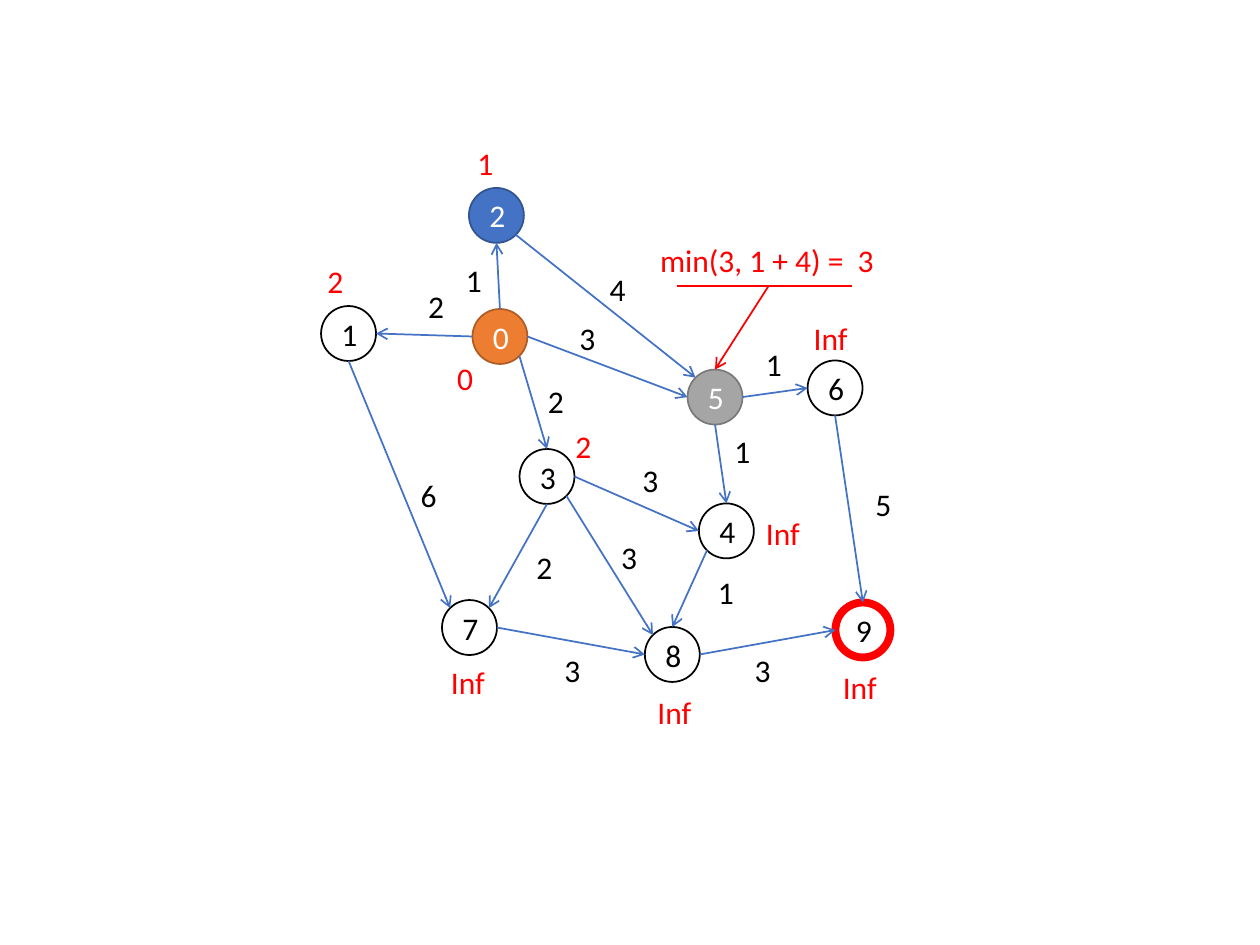
from dataclasses import dataclass
from math import sqrt

from lxml import etree
from pptx import Presentation
from pptx import util as u
from pptx.dml.color import RGBColor
from pptx.enum import shapes, text
from pptx.oxml.ns import qn


@dataclass(frozen=True)
class Theme:
    font: str = "Calibri"
    size: float = 18
    ink: str = "000000"
    paper: str = "FFFFFF"
    edge: str = "4472C4"
    alert: str = "FF0000"
    line: float = 1
    goal_line: float = 4.5


THEME = Theme()
DIAMETER = 31.4
LABEL_HEIGHT = 29.1
LABEL_WIDTHS = {1: 23.8, 3: 34.6}

PLAIN = (THEME.paper, THEME.ink, THEME.ink, THEME.line)
START = ("ED7D31", "AF5C24", THEME.paper, THEME.line)
CURRENT = (THEME.edge, "325491", THEME.paper, THEME.line)
UPDATED = ("A5A5A5", "7A7A7A", THEME.paper, THEME.line)
GOAL = (THEME.paper, THEME.alert, THEME.ink, THEME.goal_line)

# name: (centre, style, distance, distance label left and top)
NODES = {
    "1": ((199.2, 190.6), PLAIN, "2", (180, 146.2)),
    "3": ((312.6, 272.3), PLAIN, "2", (321.8, 240.5)),
    "2": ((283.7, 123.1), CURRENT, "1", (265.7, 78.5)),
    "5": ((408.6, 226.9), UPDATED, None, None),
    "4": ((415.1, 303.4), PLAIN, "Inf", (430.6, 290.2)),
    "8": ((384.2, 374), PLAIN, "Inf", (368.6, 392.4)),
    "6": ((477.2, 221.7), PLAIN, "Inf", (457.9, 178.6)),
    "9": ((493.1, 360), GOAL, "Inf", (474.5, 378)),
    "7": ((268.3, 358.6), PLAIN, "Inf", (250.6, 375.1)),
    "0": ((285.7, 192.3), START, "0", (254.2, 201.6)),
}

# from node and side, to node and side, weight, weight label left and top
EDGES = [
    ("0", "left", "1", "right", "2", (237.6, 160.6)),
    ("0", "top", "2", "bottom", "1", (259.2, 145.4)),
    ("0", "right", "5", "left", "3", (324, 178.6)),
    ("0", "bottom right", "3", "top", "2", (306, 214.6)),
    ("3", "right", "4", "left", "3", (360, 259.9)),
    ("3", "bottom right", "8", "top left", "3", (347.8, 303.8)),
    ("3", "bottom", "7", "top right", "2", (299.5, 309.6)),
    ("5", "right", "6", "left", "1", (430.6, 193.7)),
    ("4", "bottom left", "8", "top", "1", (403.2, 324)),
    ("8", "right", "9", "left", "3", (424.1, 368.6)),
    ("5", "bottom", "4", "top", "1", (412.6, 243.4)),
    ("7", "right", "8", "left", "3", (315.4, 368.6)),
    ("1", "bottom", "7", "top left", "6", (233.3, 268.6)),
    ("6", "bottom", "9", "top", "5", (493.2, 273.6)),
    ("2", "bottom right", "5", "top left", "4", (341.3, 150.5)),
]

FORMULA = ("min(3, 1 + 4) =  3", (370.1, 133.9), 138.2)
UNDERLINE = ((386.7, 163.4), (486.9, 163.4))
FORMULA_ARROW = ((439.2, 163.4), "5", "top")


def rgb(value):
    return RGBColor.from_string(value)


def anchor(node, side):
    (x, y), *_ = NODES[node]
    dx = ("right" in side) - ("left" in side)
    dy = ("bottom" in side) - ("top" in side)
    reach = DIAMETER / 2 / sqrt(dx * dx + dy * dy)
    return x + dx * reach, y + dy * reach


def write(frame, words, color=THEME.ink, align=text.PP_ALIGN.LEFT,
          middle=False, wrap=False):
    frame.word_wrap = wrap
    frame.vertical_anchor = (text.MSO_ANCHOR.MIDDLE if middle
                             else text.MSO_ANCHOR.TOP)
    para = frame.paragraphs[0]
    para.alignment = align
    span = para.add_run()
    span.text = words
    span.font.name = THEME.font
    span.font.size = u.Pt(THEME.size)
    span.font.color.rgb = rgb(color)


def add_node(page, name, center, style):
    fill, outline, ink, width = style
    left, top = (value - DIAMETER / 2 for value in center)
    circle = page.shapes.add_shape(
        shapes.MSO_SHAPE.OVAL, u.Pt(left), u.Pt(top),
        u.Pt(DIAMETER), u.Pt(DIAMETER))
    circle.shadow.inherit = False
    circle.fill.solid()
    circle.fill.fore_color.rgb = rgb(fill)
    circle.line.color.rgb = rgb(outline)
    circle.line.width = u.Pt(width)
    write(circle.text_frame, name, color=ink, align=text.PP_ALIGN.CENTER,
          middle=True, wrap=True)


def add_line(page, start, end, color=THEME.edge, arrow=True):
    line = page.shapes.add_connector(
        shapes.MSO_CONNECTOR.STRAIGHT,
        *(u.Pt(value) for value in (*start, *end)))
    line.line.color.rgb = rgb(color)
    line.line.width = u.Pt(THEME.line)
    properties = line._element.spPr
    if arrow:
        etree.SubElement(properties.find(qn("a:ln")), qn("a:tailEnd"),
                         type="arrow")
    etree.SubElement(properties, qn("a:effectLst"))


def add_label(page, words, corner, color=THEME.ink, width=None):
    width = width or LABEL_WIDTHS[len(words)]
    box = page.shapes.add_textbox(
        *(u.Pt(value) for value in (*corner, width, LABEL_HEIGHT)))
    write(box.text_frame, words, color=color)
    box.text_frame.auto_size = text.MSO_AUTO_SIZE.SHAPE_TO_FIT_TEXT


def main():
    deck = Presentation()
    deck.slide_width, deck.slide_height = u.Pt(720), u.Pt(540)
    page = deck.slides.add_slide(deck.slide_layouts[6])

    for name, (center, style, _, _) in NODES.items():
        add_node(page, name, center, style)
    for source, leave, target, enter, weight, corner in EDGES:
        add_line(page, anchor(source, leave), anchor(target, enter))
        add_label(page, weight, corner)
    for _, _, distance, corner in NODES.values():
        if distance:
            add_label(page, distance, corner, color=THEME.alert)

    words, corner, width = FORMULA
    add_label(page, words, corner, color=THEME.alert, width=width)
    start, node, side = FORMULA_ARROW
    add_line(page, start, anchor(node, side), color=THEME.alert)
    add_line(page, *UNDERLINE, color=THEME.alert, arrow=False)
    deck.save("out.pptx")


if __name__ == "__main__":
    main()
